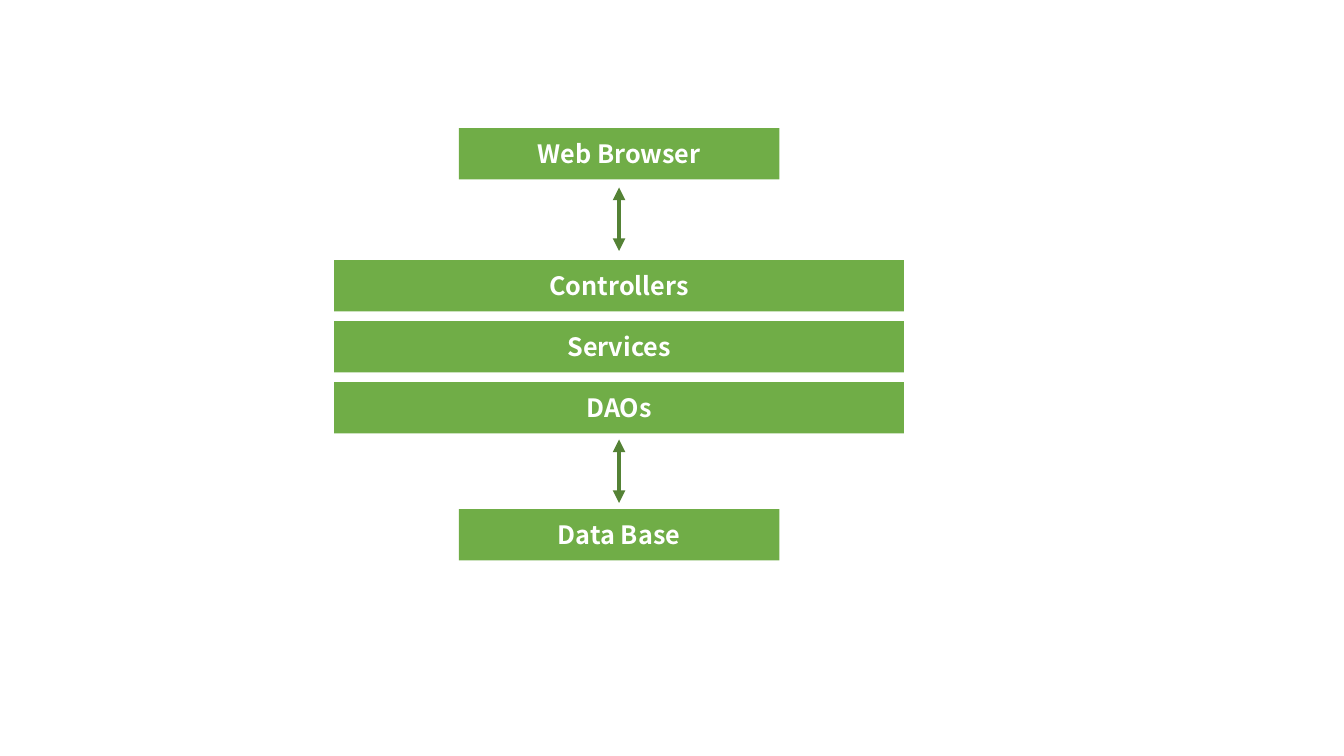
from dataclasses import dataclass

from lxml.etree import SubElement
from pptx import Presentation
from pptx.dml.color import RGBColor
from pptx.enum.shapes import MSO_CONNECTOR, MSO_SHAPE
from pptx.enum.text import MSO_ANCHOR, PP_ALIGN
from pptx.oxml.ns import qn
from pptx.util import Inches, Pt


@dataclass(frozen=True)
class Theme:
    box_fill: RGBColor = RGBColor(0x70, 0xAD, 0x47)
    arrow: RGBColor = RGBColor(0x54, 0x82, 0x35)
    text: RGBColor = RGBColor(0xFF, 0xFF, 0xFF)
    font: str = "Noto Sans CJK KR"
    text_size: Pt = Pt(18)
    arrow_width: Pt = Pt(3)


THEME = Theme()

# Shared layout, in inches
CENTER = 6.14
BOX_HEIGHT = 0.51
ENDPOINT_WIDTH = 3.18
LAYER_WIDTH = 5.65
LAYER_TOP = 2.58
LAYER_STEP = 0.605
ARROW_LENGTH = 0.63


def add_box(page, label, top, width):
    """Add a labelled box centred on the diagram axis."""
    box = page.shapes.add_shape(
        MSO_SHAPE.RECTANGLE,
        Inches(CENTER - width / 2), Inches(top), Inches(width), Inches(BOX_HEIGHT),
    )
    box.shadow.inherit = False
    box.fill.solid()
    box.fill.fore_color.rgb = THEME.box_fill
    box.line.fill.background()

    frame = box.text_frame
    frame.word_wrap = True
    frame.vertical_anchor = MSO_ANCHOR.MIDDLE
    para = frame.paragraphs[0]
    para.alignment = PP_ALIGN.CENTER
    span = para.add_run()
    span.text = label
    span.font.name = THEME.font
    span.font.size = THEME.text_size
    span.font.bold = True
    span.font.color.rgb = THEME.text


def add_double_arrow(page, top):
    """Add a vertical arrow with a head at both ends."""
    arrow = page.shapes.add_connector(
        MSO_CONNECTOR.STRAIGHT,
        Inches(CENTER), Inches(top), Inches(CENTER), Inches(top + ARROW_LENGTH),
    )
    arrow.line.color.rgb = THEME.arrow
    arrow.line.width = THEME.arrow_width
    outline = arrow.line._get_or_add_ln()
    for end in ("a:headEnd", "a:tailEnd"):
        SubElement(outline, qn(end), type="triangle")
    SubElement(arrow._element.spPr, qn("a:effectLst"))


def main():
    deck = Presentation()
    deck.slide_width = Inches(13.33)
    deck.slide_height = Inches(7.5)
    page = deck.slides.add_slide(deck.slide_layouts[6])

    # Application layers
    for index, label in enumerate(("Controllers", "Services", "DAOs")):
        add_box(page, label, LAYER_TOP + index * LAYER_STEP, LAYER_WIDTH)

    # Endpoints above and below the layers
    for label, top in (("Web Browser", 1.27), ("Data Base", 5.05)):
        add_box(page, label, top, ENDPOINT_WIDTH)

    # Two-way traffic between endpoints and layers
    for top in (1.86, 4.36):
        add_double_arrow(page, top)

    deck.save("out.pptx")


main()
